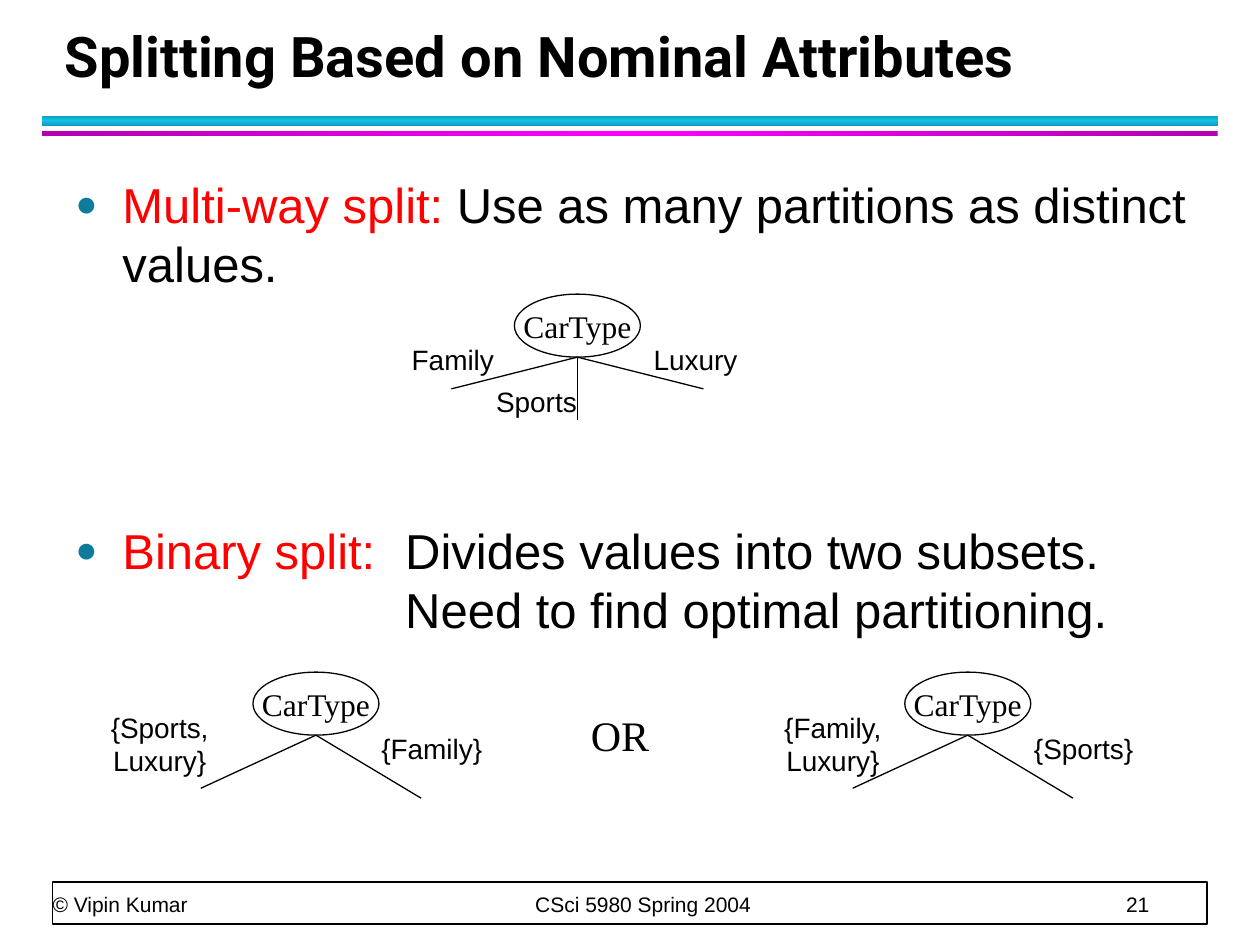
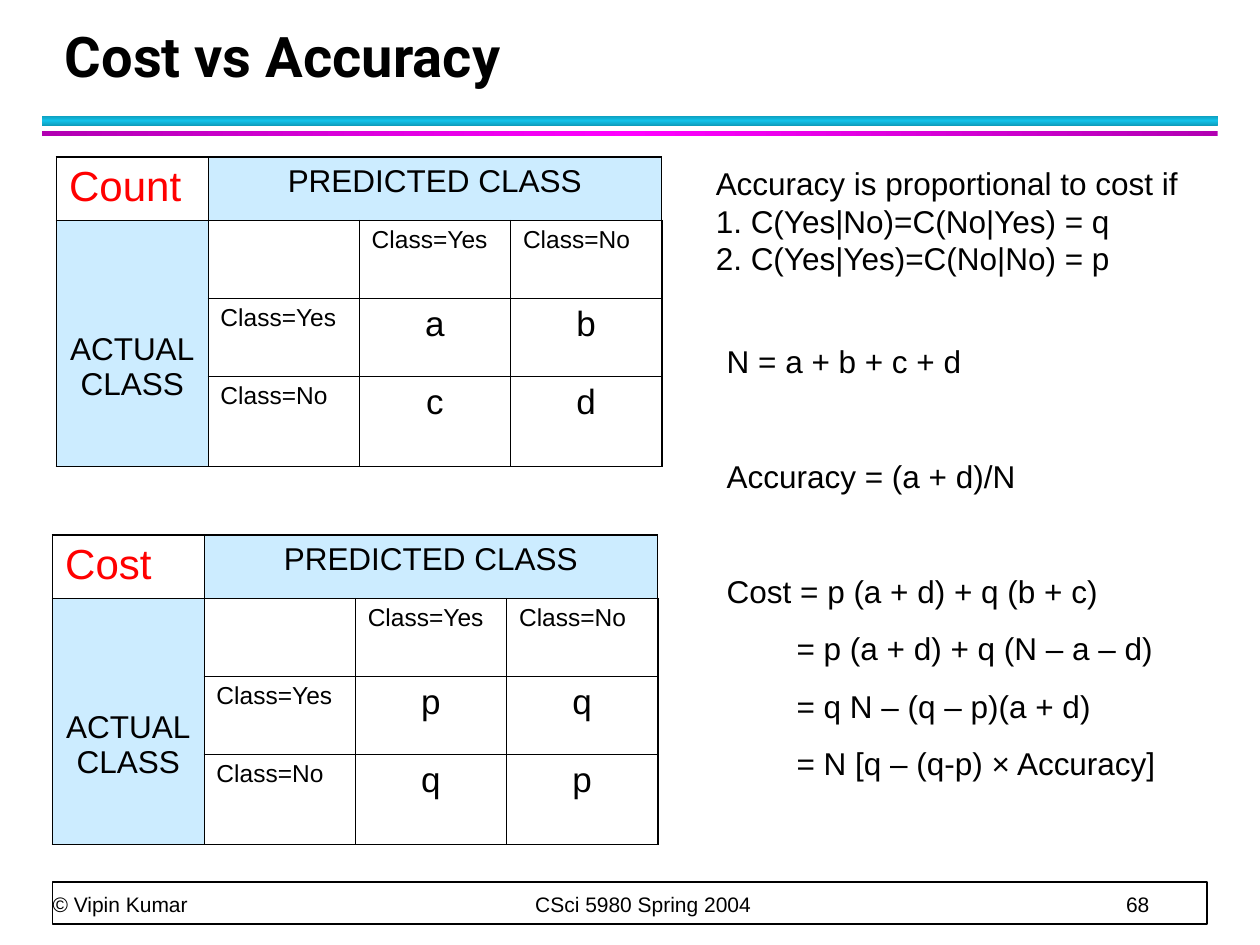
from copy import deepcopy

from pptx import Presentation
from pptx.dml.color import RGBColor
from pptx.enum.shapes import MSO_CONNECTOR as Line, MSO_SHAPE as Shape
from pptx.enum.text import MSO_ANCHOR as Anchor, MSO_AUTO_SIZE as AutoSize, PP_ALIGN as Align
from pptx.oxml.ns import qn
from pptx.util import Cm, Pt
from lxml.etree import SubElement

COLORS = {
    "ink": "000000",
    "paper": "FFFFFF",
    "accent": "FF0000",
    "bullet": "0C7B9C",
    "header": "CCECFF",
    "cyan edge": "0E9BBA",
    "cyan": "12C2E9",
    "magenta edge": "B200B2",
    "magenta": "FF00FF",
}
SANS, SERIF, TITLE_FONT = "Arial", "Times New Roman", "Roboto"
CLASSES = ("Class=Yes", "Class=No")


def color(name):
    return RGBColor.from_string(COLORS[name])


def set_font(para, size, name=SANS, tint="ink", bold=False):
    font = para.font
    font.size, font.name, font.bold = Pt(size), name, bold
    font.color.rgb = color(tint)


def set_indent(para, left, first=0):
    props = para._p.get_or_add_pPr()
    props.set("marL", str(Cm(left)))
    props.set("indent", str(Cm(first)))


def add_tabs(para, *stops):
    tab_list = SubElement(para._p.get_or_add_pPr(), qn("a:tabLst"))
    for stop in stops:
        SubElement(tab_list, qn("a:tab"), pos=str(Cm(stop)), algn="l")


def add_bullet(para):
    props = para._p.get_or_add_pPr()
    SubElement(SubElement(props, qn("a:buClr")), qn("a:srgbClr"), val=COLORS["bullet"])
    SubElement(props, qn("a:buSzPct"), val="75000")
    SubElement(props, qn("a:buFont"), typeface=SANS)
    SubElement(props, qn("a:buChar"), char="●")


def add_text_box(page, box, anchor=Anchor.TOP, wrap=True):
    frame = page.shapes.add_textbox(*map(Cm, box)).text_frame
    frame.word_wrap, frame.vertical_anchor = wrap, anchor
    return frame


def add_label(page, box, text, size=16, font=SANS):
    frame = add_text_box(page, box, Anchor.MIDDLE, wrap=False)
    # Without side margins each label has room on its own line
    frame.margin_left = frame.margin_right = 0
    para = frame.paragraphs[0]
    para.text, para.alignment = text, Align.CENTER
    set_font(para, size, font)


def add_shape(page, kind, box, line_width=None):
    shape = page.shapes.add_shape(kind, *map(Cm, box))
    shape.shadow.inherit = False
    shape.fill.solid()
    shape.fill.fore_color.rgb = color("paper")
    if line_width is None:
        shape.line.fill.background()
    else:
        shape.line.width = Pt(line_width)
        shape.line.color.rgb = color("ink")
    return shape


# Parts shared by both slides

def add_band(page, box, name, angle):
    band = add_shape(page, Shape.RECTANGLE, box)
    fill = band.fill
    fill.gradient()
    fill.gradient_angle = angle
    stop_list = band._element.spPr.find(qn("a:gradFill")).find(qn("a:gsLst"))
    stop_list.insert(1, deepcopy(stop_list[0]))
    tints = (f"{name} edge", name, f"{name} edge")
    for stop, position, tint in zip(fill.gradient_stops, (0, 0.5, 1), tints):
        stop.position = position
        stop.color.rgb = color(tint)


def add_footer(page, number):
    add_shape(page, Shape.RECTANGLE, (1.06, 17.78, 23.28, 0.85), 1)
    frame = add_text_box(page, (1.06, 17.07, 23.24, 1.42), Anchor.BOTTOM)
    frame.margin_left = frame.margin_right = frame.margin_top = frame.margin_bottom = 0
    para = frame.paragraphs[0]
    para.text = f"© Vipin Kumar\tCSci 5980 Spring 2004\t{number}"
    para.line_spacing = Pt(20)
    add_tabs(para, 9.73, 21.64)
    set_font(para, 12)


def add_page(deck, title_text, number):
    page = deck.slides.add_slide(deck.slide_layouts[5])
    add_band(page, (0.85, 2.33, 23.7, 0.21), "cyan", 90)
    add_band(page, (0.85, 2.65, 23.7, 0.1), "magenta", 0)
    add_footer(page, number)

    title = page.shapes.title
    title.left, title.top, title.width, title.height = map(Cm, (1.05, 0.43, 23.93, 1.48))
    frame = title.text_frame
    frame.auto_size, frame.vertical_anchor = AutoSize.NONE, Anchor.BOTTOM
    para = frame.paragraphs[0]
    para.text, para.alignment, para.line_spacing = title_text, Align.LEFT, Pt(36)
    set_font(para, 32, TITLE_FONT, bold=True)
    return page


# Splitting slide

def add_split_rule(page, box, term, lines):
    para = add_text_box(page, box).paragraphs[0]
    set_indent(para, 0.95, -0.95)
    add_bullet(para)
    add_tabs(para, 6.65)
    para.space_before, para.space_after = Pt(3.5), Pt(4)
    set_font(para, 28)
    span = para.add_run()
    span.text = term
    span.font.color.rgb = color("accent")
    for index, line in enumerate(lines):
        if index:
            para.add_line_break()
        para.add_run().text = line


def add_split_tree(page, left, top, branch_ends, labels):
    """Draw the root at (left, top); ends count from its foot, labels from its corner."""
    width, height = 2.54, 1.27
    root = add_shape(page, Shape.OVAL, (left, top, width, height), 0.75)
    root.text_frame.word_wrap = False
    root.text_frame.vertical_anchor = Anchor.MIDDLE
    para = root.text_frame.paragraphs[0]
    para.text, para.alignment = "CarType", Align.CENTER
    set_font(para, 18, SERIF)

    foot_x, foot_y = left + width / 2, top + height
    for across, down in branch_ends:
        points = (foot_x, foot_y, foot_x + across, foot_y + down)
        branch = page.shapes.add_connector(Line.STRAIGHT, *map(Cm, points))
        branch.line.width = Pt(0.75)
        branch.line.color.rgb = color("ink")
        SubElement(branch._element.spPr, qn("a:effectLst"))

    for text, across, down, label_width, label_height in labels:
        add_label(page, (left + across, top + down, label_width, label_height), text)


def build_splitting(deck):
    page = add_page(deck, "Splitting Based on Nominal Attributes", 21)
    add_split_rule(page, (1.27, 3.39, 23.28, 2.8), "Multi-way split:",
                   [" Use as many partitions as distinct values."])
    add_split_rule(page, (1.27, 10.37, 23.28, 2.8), "Binary split:",
                   ["\tDivides values into two subsets.", "\tNeed to find optimal partitioning."])

    # Multi-way tree
    add_split_tree(page, 10.37, 5.93, [(-2.54, 0.64), (0, 1.27), (2.54, 0.64)], [
        ("Family", -2.32, 0.85, 2.16, 0.94),
        ("Sports", -0.62, 1.69, 2.13, 0.94),
        ("Luxury", 2.56, 0.85, 2.18, 0.94),
    ])

    # Two binary trees
    for left, pair, pair_offset, single in (
        (5.1, "{Sports,\vLuxury}", -3.2, "{Family}"),
        (18.24, "{Family,\vLuxury}", -2.77, "{Sports}"),
    ):
        add_split_tree(page, left, 13.55, [(-2.32, 1.07), (2.12, 1.27)], [
            (pair, pair_offset, 0.63, 2.64, 1.63),
            (single, 2.34, 1.06, 2.53, 0.94),
        ])
    add_label(page, (11.66, 14.18, 1.68, 1.27), "OR", 24, SERIF)


# Cost slide

def add_borders(cell, row, column, last=3):
    props = cell._tc.get_or_add_tcPr()
    edges = {"L": column == 0, "R": column == last, "T": row == 0, "B": row == last}
    for side, outer in edges.items():
        line = SubElement(props, qn(f"a:ln{side}"), w=str(Pt(1.08 if outer else 0.45)))
        SubElement(SubElement(line, qn("a:solidFill")), qn("a:srgbClr"), val=COLORS["ink"])


def fill_cell(cell, text, size, align=Align.CENTER, tint="ink"):
    para = cell.text_frame.paragraphs[0]
    para.text, para.alignment = text, align
    set_font(para, size, tint=tint)


def add_class_table(page, left, top, name, values):
    widths, heights = [3.05] * 4, [1.27, 1.57, 1.57, 1.82]
    box = (left, top, sum(widths), sum(heights))
    table = page.shapes.add_table(4, 4, *map(Cm, box)).table
    table.first_row = table.horz_banding = False
    for column, width in zip(table.columns, widths):
        column.width = Cm(width)
    for row, height in zip(table.rows, heights):
        row.height = Cm(height)

    for row in range(4):
        for column in range(4):
            cell = table.cell(row, column)
            add_borders(cell, row, column)
            if (row == 0) != (column == 0):
                cell.fill.solid()
                cell.fill.fore_color.rgb = color("header")
            else:
                cell.fill.background()

    # Headings
    predicted, actual = table.cell(0, 1), table.cell(1, 0)
    predicted.merge(table.cell(0, 3))
    actual.merge(table.cell(3, 0))
    actual.margin_top = Cm(2.25)
    fill_cell(table.cell(0, 0), name, 24, Align.LEFT, "accent")
    fill_cell(predicted, "PREDICTED CLASS", 18)
    fill_cell(actual, "ACTUAL\vCLASS", 18)

    # Class names and values
    for i, label in enumerate(CLASSES, start=2):
        fill_cell(table.cell(1, i), label, 14, Align.LEFT)
        fill_cell(table.cell(i, 1), label, 14, Align.LEFT)
        for j, value in enumerate(values[i - 2], start=2):
            fill_cell(table.cell(i, j), value, 20)


def add_formulas(page, box, formulas):
    frame = add_text_box(page, box)
    for index, (text, space_before, indent) in enumerate(formulas):
        para = frame.add_paragraph() if index else frame.paragraphs[0]
        para.text, para.space_before = text, Pt(space_before)
        set_indent(para, indent)
        set_font(para, 18)


def build_cost(deck):
    page = add_page(deck, "Cost vs Accuracy", 68)
    add_class_table(page, 1.14, 3.17, "Count", ("ab", "cd"))
    add_class_table(page, 1.06, 10.79, "Cost", ("pq", "qp"))

    step, section, indent = 11.2, 44, 1.41
    add_formulas(page, (14.4, 6.78, 9.95, 10.29), [
        ("N = a + b + c + d", step, 0),
        ("Accuracy = (a + d)/N", section, 0),
        ("Cost = p (a + d) + q (b + c)", section, 0),
        ("= p (a + d) + q (N – a – d)", step, indent),
        ("= q N – (q – p)(a + d)", step, indent),
        ("= N [q – (q-p) × Accuracy]", step, indent),
    ])
    add_formulas(page, (14.18, 3.18, 10.37, 2.54), [
        ("Accuracy is proportional to cost if", 0, 0),
        ("1. C(Yes|No)=C(No|Yes) = q", 0, 0),
        ("2. C(Yes|Yes)=C(No|No) = p", 0, 0),
    ])


def main():
    deck = Presentation()
    deck.slide_width, deck.slide_height = Cm(25.4), Cm(19.05)
    build_splitting(deck)
    build_cost(deck)
    deck.save("out.pptx")


if __name__ == "__main__":
    main()
